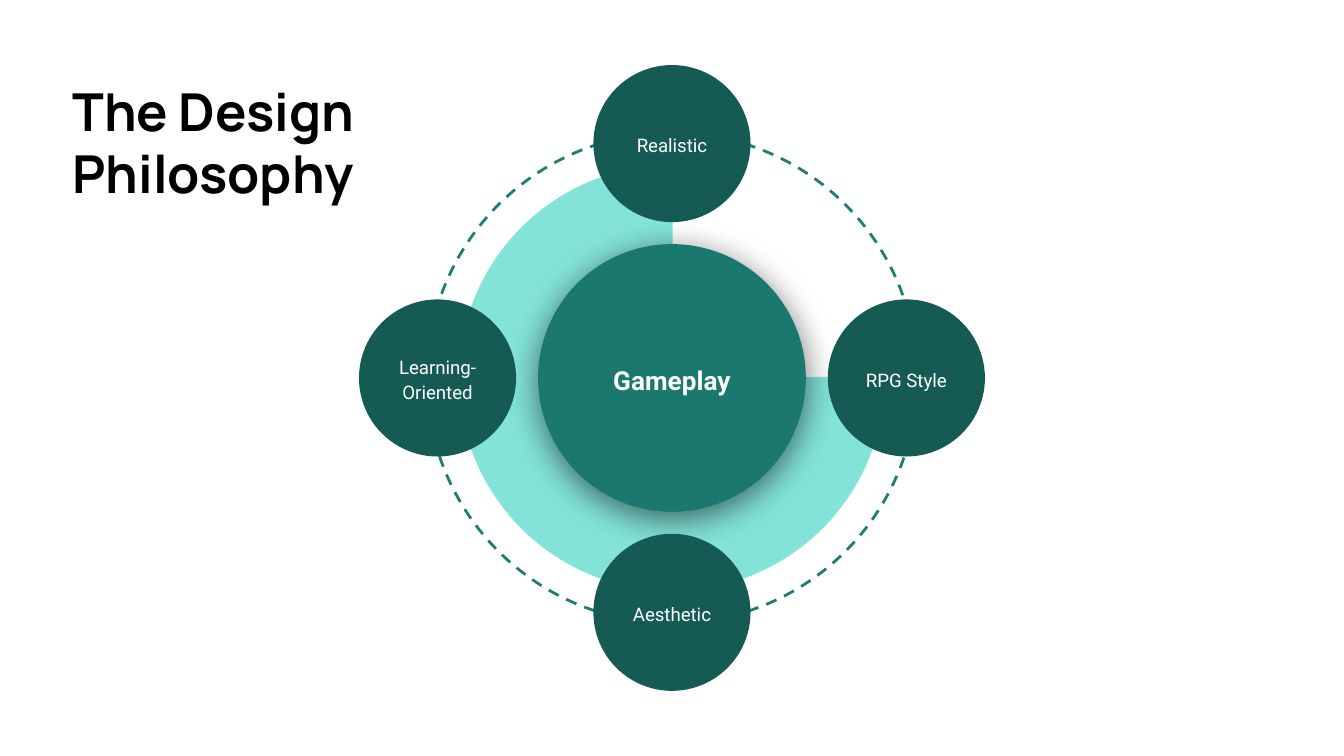
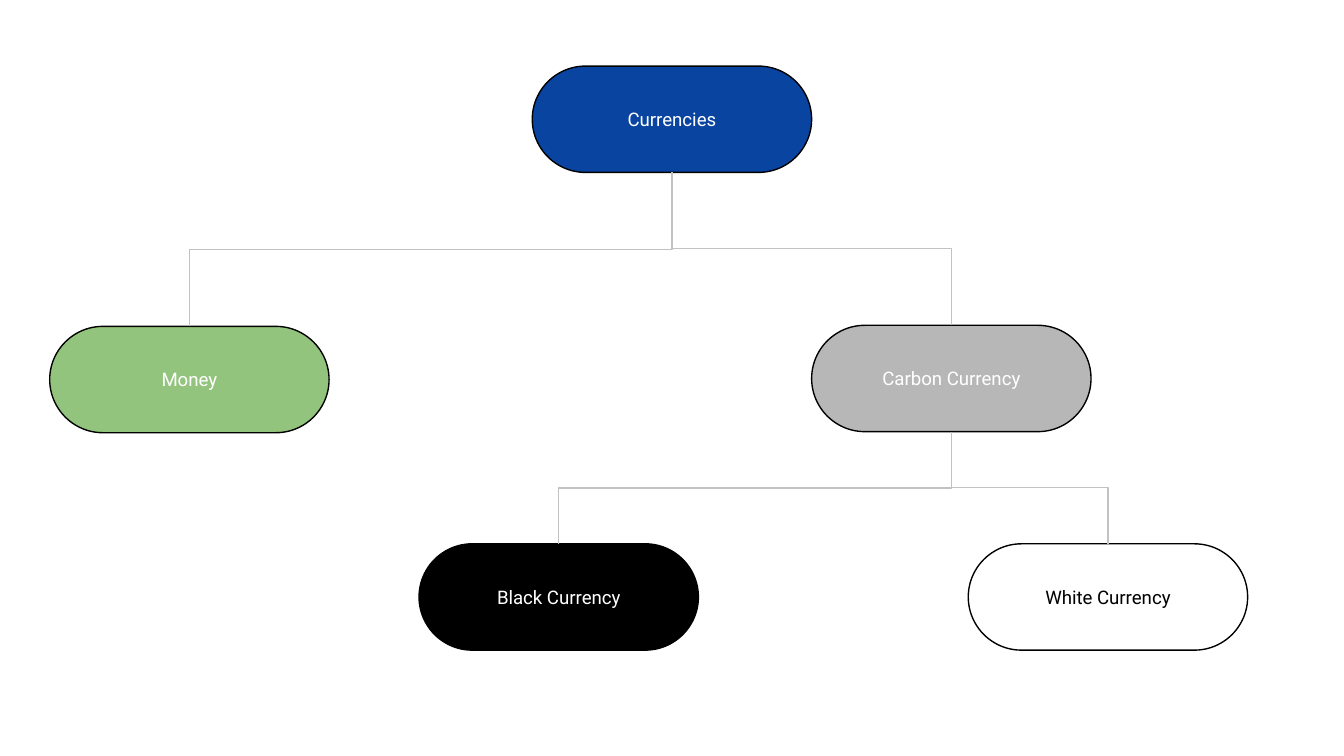
from dataclasses import dataclass

from lxml.etree import SubElement
from pptx import Presentation
from pptx.dml.color import RGBColor
from pptx.enum.dml import MSO_LINE
from pptx.enum.shapes import MSO_CONNECTOR, MSO_SHAPE
from pptx.enum.text import MSO_ANCHOR, PP_ALIGN
from pptx.oxml.ns import qn
from pptx.util import Cm, Pt


@dataclass(frozen=True)
class Theme:
    """Colours, fonts and sizes shared by the slides."""
    black: str = "000000"
    white: str = "FFFFFF"
    ring: str = "1D7E74"
    sector: str = "83E3D9"
    hub: str = "1B786E"
    bubble: str = "155B54"
    blue: str = "0944A1"
    grey: str = "B7B7B7"
    green: str = "93C47D"
    link: str = "C2C2C2"
    title_font: str = "Manrope"
    body_font: str = "Roboto"
    title_size: float = 28
    hub_size: float = 14
    label_size: float = 10
    ring_width: float = 1.5
    thin_width: float = 0.75
    inset: float = 0.25


@dataclass(frozen=True)
class Box:
    """A rectangle in centimetres."""
    left: float
    top: float
    width: float
    height: float

    def lengths(self):
        """Return the four measures as lengths."""
        return [Cm(n) for n in (self.left, self.top, self.width, self.height)]

    def inner(self, left, top, width, height):
        """Return a box placed from this box's corner."""
        return Box(self.left + left, self.top + top, width, height)

    def centred(self, width, height, across=0, down=0):
        """Return a box placed from this box's centre."""
        return self.inner((self.width - width) / 2 + across,
                          (self.height - height) / 2 + down, width, height)


THEME = Theme()
PAGE = Box(0, 0, 25.4, 14.29)


def write(shape, text, size=THEME.label_size, font=THEME.body_font,
          color=THEME.white, bold=False, align=PP_ALIGN.CENTER,
          anchor=MSO_ANCHOR.MIDDLE, spacing=None):
    """Put formatted text in a shape."""
    frame = shape.text_frame
    frame.word_wrap = True
    frame.vertical_anchor = anchor
    frame.margin_left = frame.margin_right = Cm(THEME.inset)
    frame.margin_top = frame.margin_bottom = Cm(THEME.inset)
    para = frame.paragraphs[0]
    para.alignment = align
    para.line_spacing = spacing
    span = para.add_run()
    span.text = text
    span.font.name = font
    span.font.size = Pt(size)
    span.font.bold = bold
    span.font.color.rgb = RGBColor.from_string(color)


def add_figure(shapes, kind, box, fill=None, line=None, width=THEME.thin_width):
    """Draw a preset shape without a shadow."""
    figure = shapes.add_shape(kind, *box.lengths())
    figure.shadow.inherit = False
    if fill:
        figure.fill.solid()
        figure.fill.fore_color.rgb = RGBColor.from_string(fill)
    else:
        figure.fill.background()
    if line:
        figure.line.color.rgb = RGBColor.from_string(line)
        figure.line.width = Pt(width)
    else:
        figure.line.fill.background()
    return figure


def add_soft_shadow(figure):
    """Cast a blurred shadow below a shape."""
    effects = figure._element.spPr.find(qn("a:effectLst"))
    shadow = SubElement(effects, qn("a:outerShdw"), blurRad=str(Pt(18)),
                        dist=str(Pt(4)), dir="5400000", algn="bl", rotWithShape="0")
    color = SubElement(shadow, qn("a:srgbClr"), val=THEME.black)
    SubElement(color, qn("a:alpha"), val="55000")


def add_title(page, box, text):
    """Write the slide title."""
    write(page.shapes.add_textbox(*box.lengths()), text, size=THEME.title_size,
          font=THEME.title_font, color=THEME.black, bold=True,
          align=PP_ALIGN.LEFT, anchor=MSO_ANCHOR.TOP)


def add_disc(page, box, label_box, text, fill, **text_format):
    """Group a filled circle with its label."""
    group = page.shapes.add_group_shape()
    disc = add_figure(group.shapes, MSO_SHAPE.OVAL, box, fill)
    label = group.shapes.add_textbox(*label_box.lengths())
    write(label, text, spacing=1.15, **text_format)
    return disc


def add_orbit(page, box, centre_text, bubble_texts):
    """Draw a hub with four bubbles on a dashed ring filling the box."""
    backdrop = page.shapes.add_group_shape()
    ring = add_figure(backdrop.shapes, MSO_SHAPE.OVAL, box, line=THEME.ring,
                      width=THEME.ring_width)
    ring.rotation = 270
    ring.line.dash_style = MSO_LINE.DASH
    sector = add_figure(backdrop.shapes, MSO_SHAPE.PIE, box.centred(8.05, 8.05),
                        THEME.sector)
    sector.adjustments[0] = 215.77
    sector.adjustments[1] = 162.15

    hub = add_disc(page, box.centred(5.06, 5.06), box.centred(3.73, 2.29),
                   centre_text, THEME.hub, size=THEME.hub_size, bold=True)
    add_soft_shadow(hub)

    radius, diameter = 4.43, 2.97
    directions = [(0, -1), (0, 1), (-1, 0), (1, 0)]
    for text, (across, down) in zip(bubble_texts, directions):
        bubble = box.centred(diameter, diameter, radius * across, radius * down)
        add_disc(page, bubble, bubble.centred(diameter, 2.03), text, THEME.bubble)


def add_pill(page, box, text, fill, color=THEME.white):
    """Draw one outlined node of the tree."""
    pill = add_figure(page.shapes, MSO_SHAPE.ROUNDED_RECTANGLE, box, fill, THEME.black)
    pill.adjustments[0] = 0.5
    write(pill, text, color=color)
    return pill


def add_branch(page, parent, child):
    """Join a parent's bottom to a child's top with an elbow."""
    across = child.left + child.width // 2 - parent.left - parent.width // 2
    drop = child.top - parent.top - parent.height
    middle_x = parent.left + parent.width // 2 + across // 2
    middle_y = parent.top + parent.height + drop // 2
    ends = [(parent, 2), (child, 0)]
    if across < 0:
        ends.reverse()
    branch = page.shapes.add_connector(MSO_CONNECTOR.ELBOW, 0, 0, 0, 0)
    branch.begin_connect(*ends[0])
    branch.end_connect(*ends[1])
    branch.width, branch.height = drop, abs(across)
    branch.left = middle_x - drop // 2
    branch.top = middle_y - abs(across) // 2
    properties = branch._element.spPr
    turn = properties.find(qn("a:xfrm"))
    turn.set("rot", "16200000")
    turn.set("flipH", "1" if across > 0 else "0")
    turn.set("flipV", "0")
    branch.line.color.rgb = RGBColor.from_string(THEME.link)
    branch.line.width = Pt(THEME.thin_width)
    SubElement(properties, qn("a:effectLst"))


def add_tree(page, box, nodes, branches):
    """Place the nodes within the box and join them."""
    pills = {}
    for text, left, top, fill, color in nodes:
        pills[text] = add_pill(page, box.inner(left, top, 5.28, 2.01), text, fill, color)
    for parent, child in branches:
        add_branch(page, pills[parent], pills[child])


def build_philosophy(page):
    """Build the design philosophy slide."""
    add_title(page, PAGE.inner(1.12, 1.24, 7.72, 2.82), "The Design Philosophy")
    add_orbit(page, PAGE.centred(9.27, 9.27), "Gameplay",
              ["Realistic", "Aesthetic", "Learning-Oriented", "RPG Style"])


def build_currencies(page):
    """Build the currency tree slide."""
    nodes = [
        ("Currencies", 9.12, 0, THEME.blue, THEME.white),
        ("Carbon Currency", 14.4, 4.9, THEME.grey, THEME.white),
        ("Money", 0, 4.92, THEME.green, THEME.white),
        ("Black Currency", 6.98, 9.03, THEME.black, THEME.white),
        ("White Currency", 17.36, 9.03, THEME.white, THEME.black),
    ]
    branches = [
        ("Currencies", "Carbon Currency"),
        ("Currencies", "Money"),
        ("Carbon Currency", "White Currency"),
        ("Carbon Currency", "Black Currency"),
    ]
    add_tree(page, PAGE.inner(0.94, 1.25, 22.64, 11.04), nodes, branches)


def main():
    """Build and save the deck."""
    deck = Presentation()
    deck.slide_width, deck.slide_height = Cm(PAGE.width), Cm(PAGE.height)
    for build in (build_philosophy, build_currencies):
        build(deck.slides.add_slide(deck.slide_layouts[6]))
    deck.save("out.pptx")


if __name__ == "__main__":
    main()
